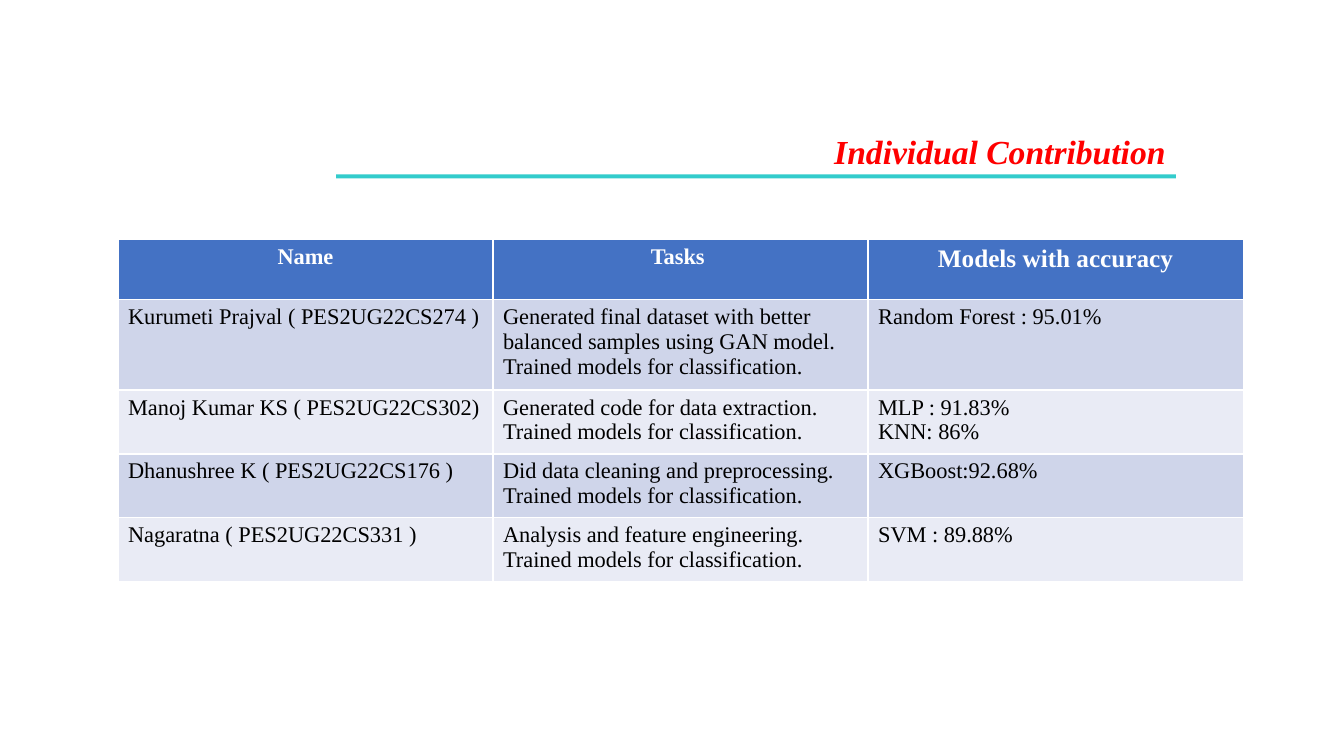
from pptx import Presentation
from pptx.dml.color import RGBColor
from pptx.enum.shapes import MSO_SHAPE
from pptx.enum.text import PP_ALIGN
from pptx.util import Inches, Pt

RECTANGLE = MSO_SHAPE.RECTANGLE
LEFT, CENTER, RIGHT = PP_ALIGN.LEFT, PP_ALIGN.CENTER, PP_ALIGN.RIGHT


def paint(target, color):
    target.solid()
    target.fore_color.rgb = RGBColor.from_string(color)


def write(frame, text, size=16, color="000000", bold=False, italic=False, align=LEFT):
    frame.word_wrap = True
    frame.text = text
    for paragraph in frame.paragraphs:
        paragraph.alignment = align
        for run in paragraph.runs:
            run.font.name = "Times New Roman"
            run.font.size = Pt(size)
            run.font.bold = bold
            run.font.italic = italic
            paint(run.font.fill, color)


deck = Presentation()
deck.slide_width, deck.slide_height = Inches(13.33), Inches(7.5)
slide = deck.slides.add_slide(deck.slide_layouts[6])
width, height = deck.slide_width, deck.slide_height

rule = slide.shapes.add_shape(
    RECTANGLE, int(width / 4), Inches(1.73), int(width * 5 / 8), Inches(0.04))
rule.shadow.inherit = False
paint(rule.fill, "33CCCC")
rule.line.fill.background()

title = slide.shapes.add_textbox(
    Inches(2.08), int(height / 6), Inches(9.58), int(height / 15))
write(title.text_frame, "Individual Contribution", size=24, color="FF0000",
      bold=True, italic=True, align=RIGHT)

headings = [("Name", 16), ("Tasks ", 16), ("Models with accuracy", 18)]
training = "\nTrained models for classification."
members = [
    ("Kurumeti Prajval ( PES2UG22CS274 )",
     "Generated final dataset with better balanced samples using GAN model.",
     "Random Forest : 95.01%"),
    ("Manoj Kumar KS ( PES2UG22CS302)",
     "Generated code for data extraction.",
     "MLP : 91.83%\nKNN: 86%"),
    ("Dhanushree K ( PES2UG22CS176 )",
     "Did data cleaning and preprocessing.",
     "XGBoost:92.68%"),
    ("Nagaratna ( PES2UG22CS331 )",
     "Analysis and feature engineering.",
     "SVM : 89.88%"),
]
row_heights = [0.59, 0.9, 0.63, 0.63, 0.63]
bands = ["CFD5EA", "E9EBF5"]

contributions = slide.shapes.add_table(
    len(row_heights), len(headings), Inches(1.17), Inches(2.38),
    Inches(11.16), Inches(sum(row_heights))).table
for row, row_height in zip(contributions.rows, row_heights):
    row.height = Inches(row_height)

for column, (heading, size) in enumerate(headings):
    cell = contributions.cell(0, column)
    paint(cell.fill, "4472C4")
    write(cell.text_frame, heading, size=size, color="FFFFFF", bold=True, align=CENTER)

for number, (name, task, accuracy) in enumerate(members):
    for column, entry in enumerate([name, task + training, accuracy]):
        cell = contributions.cell(number + 1, column)
        paint(cell.fill, bands[number % 2])
        write(cell.text_frame, entry)

deck.save("out.pptx")
